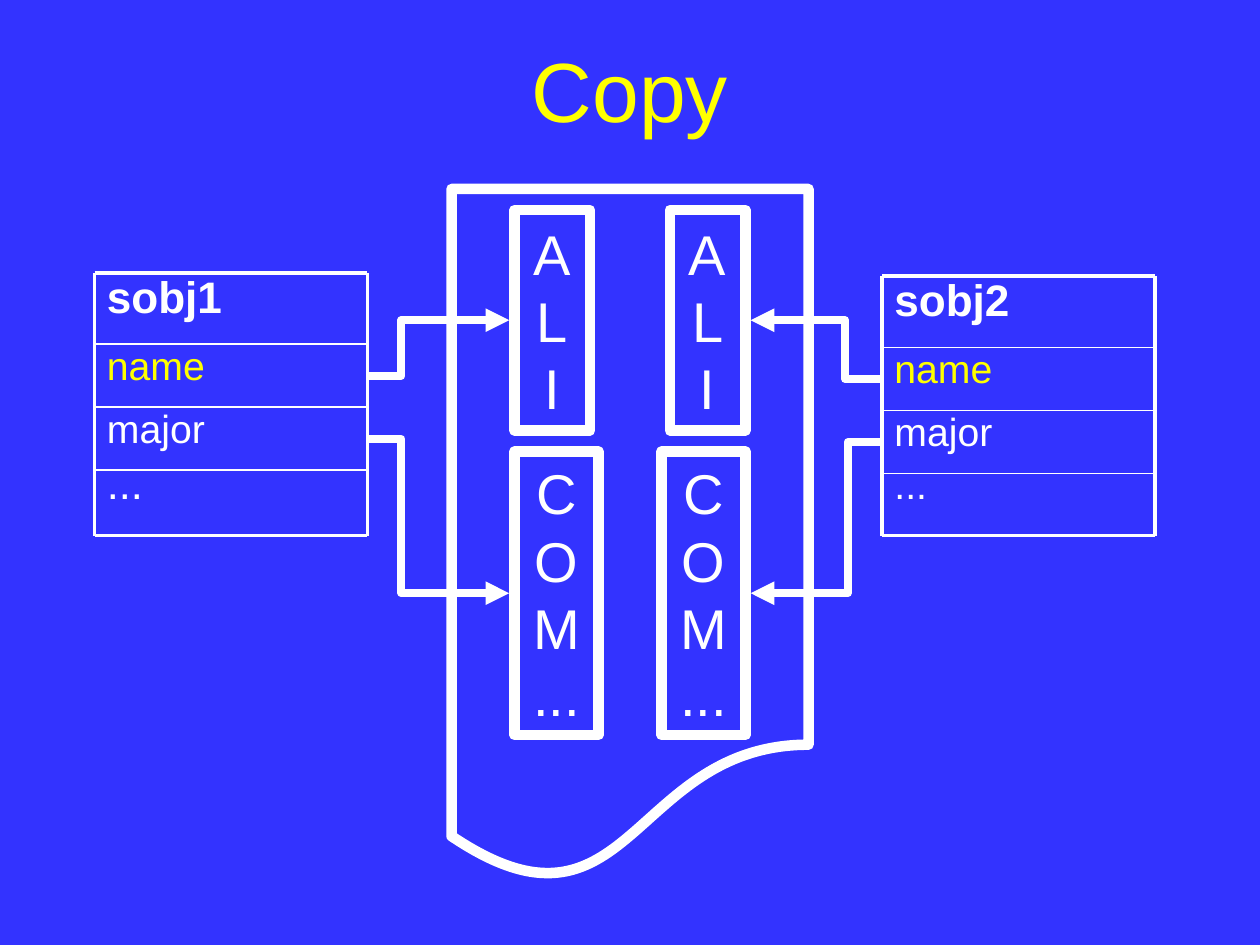
from pptx import Presentation
from pptx.dml.color import RGBColor
from pptx.enum.shapes import MSO_CONNECTOR, MSO_SHAPE
from pptx.enum.text import MSO_ANCHOR, PP_ALIGN
from pptx.oxml import parse_xml
from pptx.oxml.ns import nsdecls
from pptx.util import Inches, Pt

COLORS = {k: RGBColor.from_string(v) for k, v in
          {"back": "3333FF", "ink": "FFFFFF", "accent": "FFFF00"}.items()}

prs = Presentation()
prs.slide_width, prs.slide_height = Inches(10), Inches(7.5)
col, row = prs.slide_width / 120, prs.slide_height / 90
s = prs.slides.add_slide(prs.slide_layouts[5])
s.background.fill.solid()
s.background.fill.fore_color.rgb = COLORS["back"]


def grid(x, y, w, h):
    return round(x * col), round(y * row), round(w * col), round(h * row)


def connect(kind, x1, y1, x2, y2, width):
    c = s.shapes.add_connector(kind, *grid(x1, y1, x2, y2))
    c.line.color.rgb = COLORS["ink"]
    c.line.width = Pt(width)
    c._element.spPr.append(parse_xml(f"<a:effectLst {nsdecls('a')}/>"))
    return c


title = s.shapes.title
title.left, title.top, title.width, title.height = grid(6, 1, 108, 15)
tf = title.text_frame
tf.text = "Copy"
tf.vertical_anchor = MSO_ANCHOR.MIDDLE
p = tf.paragraphs[0]
p.alignment = PP_ALIGN.CENTER
p.font.name, p.font.size = "Arial", Pt(48)
p.font.color.rgb = COLORS["accent"]

boxes = [(MSO_SHAPE.FLOWCHART_DOCUMENT, 43, 18, 34, 66, "")]
for x_ali, x_com in ((49, 49), (63.8, 63)):
    boxes += [(MSO_SHAPE.RECTANGLE, x_ali, 20, 7.2, 21, "A\nL\nI"),
              (MSO_SHAPE.RECTANGLE, x_com, 43, 8, 27, "C\nO\nM\n...")]
for shape, x, y, w, h, text in boxes:
    sp = s.shapes.add_shape(shape, *grid(x, y, w, h))
    sp.shadow.inherit = False
    sp.fill.background()
    sp.line.color.rgb = COLORS["ink"]
    sp.line.width = Pt(6)
    if text:
        tf = sp.text_frame
        tf.text = text
        tf.word_wrap = False
        tf.vertical_anchor = MSO_ANCHOR.MIDDLE
        for p in tf.paragraphs:
            p.alignment = PP_ALIGN.CENTER
            p.font.name, p.font.size = "Arial", Pt(32)
            p.font.color.rgb = COLORS["ink"]

records = [("sobj1", 9, 26, 24.8, 35, 48.5, (0.24, 0.24)),
           ("sobj2", 84, 26.3, 22.4, 84, 71.5, (0.28, 0.26))]
for name, x, top, dots_size, start, end, bends in records:
    right, bottom = x + 26, 51
    fields = [(name, 0, 6.8, 25.2, "ink"), ("name", 6.8, 6, 22.4, "accent"),
              ("major", 12.8, 6, 22.4, "ink"), ("...", 17.8, 6, dots_size, "ink")]
    for text, dy, h, size, color in fields:
        sp = s.shapes.add_textbox(*grid(x, top + dy, 26, h))
        tf = sp.text_frame
        tf.text = text
        tf.word_wrap = True
        p = tf.paragraphs[0]
        p.line_spacing = 0.8
        p.font.name, p.font.size = "Arial", Pt(size)
        p.font.bold = text == name
        p.font.color.rgb = COLORS[color]

    for y, width in ((top, 2.25), (top + 6.8, 1), (top + 12.8, 1),
                     (top + 18.8, 1), (bottom, 2.25)):
        connect(MSO_CONNECTOR.STRAIGHT, x, y, right, y, width)
    for side in (x, right):
        connect(MSO_CONNECTOR.STRAIGHT, side, top, side, bottom, 2.25)

    for dy, target, bend in zip((9.8, 15.8), (30.5, 56.5), bends):
        c = connect(MSO_CONNECTOR.ELBOW, start, top + dy, end, target, 4.5)
        c._element.spPr.prstGeom.get_or_add_avLst().append(parse_xml(
            f'<a:gd {nsdecls("a")} name="adj1" fmla="val {round(bend * 100000)}"/>'))
        c.line._get_or_add_ln().append(parse_xml(
            f'<a:tailEnd {nsdecls("a")} type="triangle"/>'))

prs.save("out.pptx")
